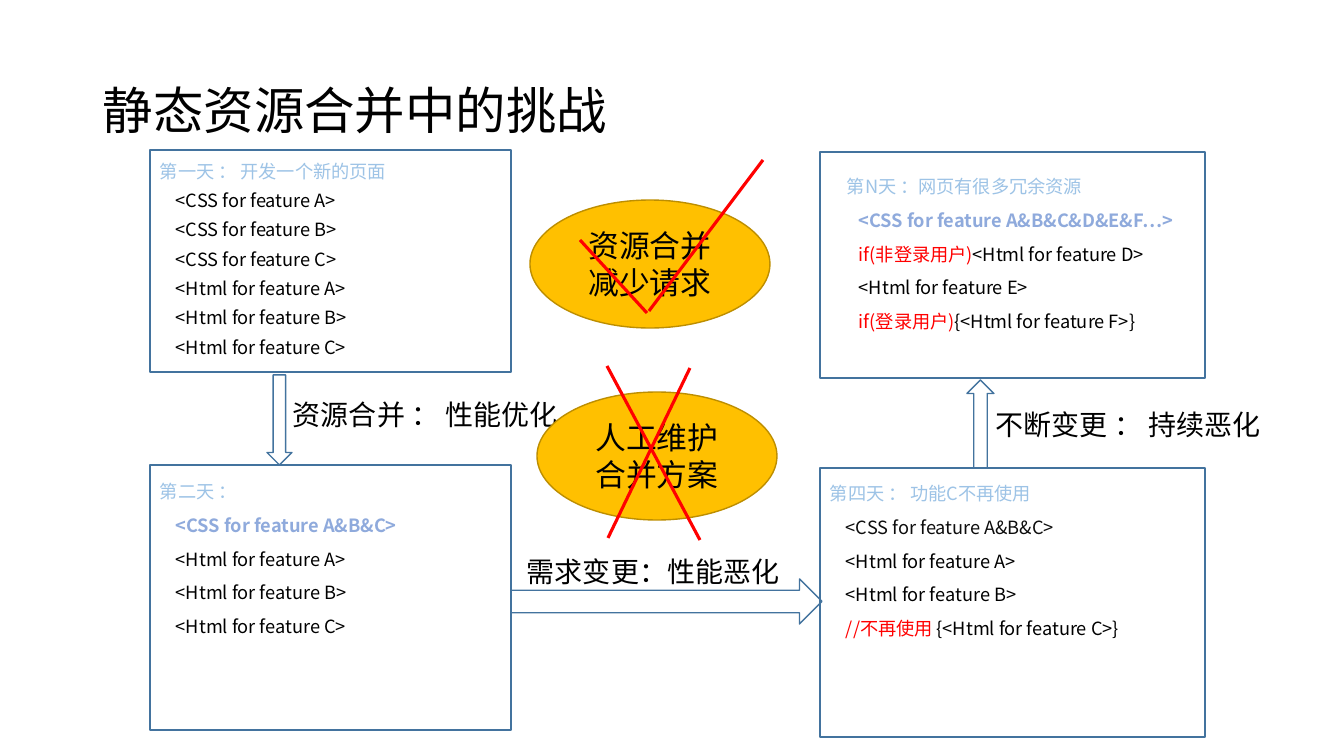
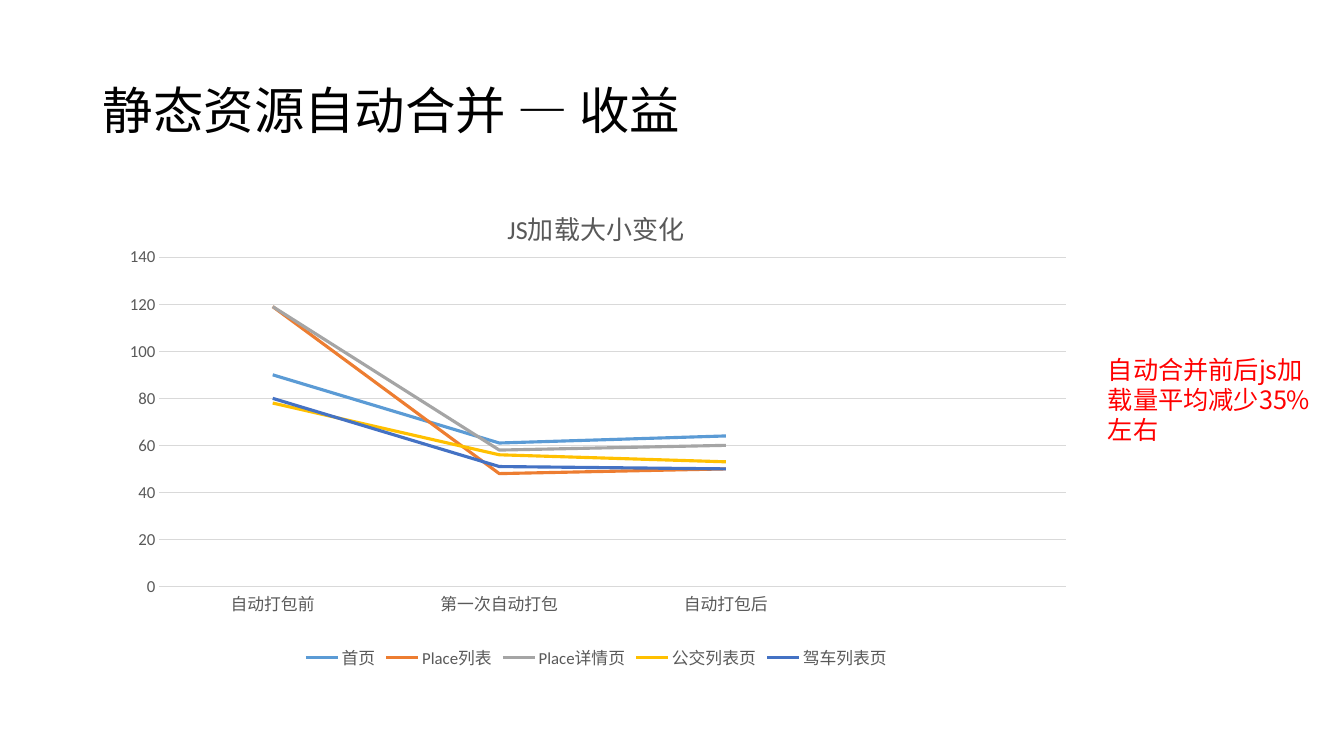
from lxml.etree import SubElement
from pptx import Presentation
from pptx.chart.data import CategoryChartData
from pptx.dml.color import RGBColor
from pptx.enum.chart import XL_CHART_TYPE, XL_LEGEND_POSITION, XL_MARKER_STYLE, XL_TICK_MARK
from pptx.enum.shapes import MSO_CONNECTOR, MSO_SHAPE
from pptx.enum.text import MSO_ANCHOR, PP_ALIGN
from pptx.oxml import parse_xml
from pptx.oxml.ns import nsdecls, qn
from pptx.util import Pt

COLORS = {
    "black": "000000", "code": "0D0D0D", "heading": "9DC3E6", "merged": "8FAADC",
    "red": "FF0000", "outline": "43739E", "amber": "FFC000", "amber_line": "BD8E00",
    "grey": "595959", "grid": "D9D9D9", "blue": "5B9BD5", "orange": "ED7D31",
    "silver": "A5A5A5", "navy": "4472C4",
}
FONT = "Noto Sans CJK SC"
CHART_FONT = "Calibri"
EMU_PER_PIXEL = 914400 / 100.8

TITLE_BOX = (93, 40, 1159, 146)
CHALLENGE_TITLE = "静态资源合并中的挑战"
BENEFIT_TITLE = "静态资源自动合并 — 收益"

DAYS = [
    {"frame": (150, 150, 361, 222), "text": (150, 161, 321, 215), "indent": 16, "spacing": 0.7,
     "heading": "第一天 ： 开发一个新的页面",
     "lines": [[("<CSS for feature A>", "black")], [("<CSS for feature B>", "black")],
               [("<CSS for feature C>", "black")], [("<Html for feature A>", "black")],
               [("<Html for feature B>", "black")], [("<Html for feature C>", "black")]]},
    {"frame": (150, 465, 361, 265), "text": (150, 478, 306, 229), "indent": 16, "spacing": 0.9,
     "heading": "第二天 ：",
     "lines": [[("<CSS for feature A&B&C>", "merged")], [("<Html for feature A>", "black")],
               [("<Html for feature B>", "black")], [("<Html for feature C>", "black")]]},
    {"frame": (820, 468, 385, 269), "text": (820, 480, 405, 253), "indent": 16, "spacing": 0.9,
     "heading": "第四天 ： 功能C不再使用",
     "lines": [[("<CSS for feature A&B&C>", "code")], [("<Html for feature A>", "black")],
               [("<Html for feature B>", "black")],
               [("//不再使用 ", "red"), ("{<Html for feature C>}", "black")]]},
    {"frame": (820, 152, 385, 226), "text": (837, 173, 415, 215), "indent": 12, "spacing": 0.9,
     "heading": "第N天 ：网页有很多冗余资源",
     "lines": [[("<CSS for feature A&B&C&D&E&F…>", "merged")],
               [("if(非登录用户)", "red"), ("<Html for feature D>", "black")],
               [("<Html for feature E>", "black")],
               [("if(登录用户)", "red"), ("{<Html for feature F>}", "black")]]},
]
STEPS = [
    (MSO_SHAPE.DOWN_ARROW, (267, 375, 25, 90), "资源合并 ： 性能优化", (283, 393, 296, 44)),
    (MSO_SHAPE.RIGHT_ARROW, (511, 579, 311, 45), "需求变更：性能恶化", (517, 550, 280, 44)),
    (MSO_SHAPE.UP_ARROW, (967, 380, 27, 88), "不断变更 ： 持续恶化", (986, 403, 312, 44)),
]
VERDICTS = [
    ("人工维护合并方案", (537, 392, 240, 128)),
    ("资源合并减少请求", (530, 200, 240, 128)),
]
CROSS_AND_TICK = [
    (607, 366, 700, 540), (690, 368, 608, 538),
    (580, 240, 647, 313), (649, 311, 763, 160),
]

CHART_BOX = (93, 186, 1007, 488)
CHART_TITLE = "JS加载大小变化"
PLOT_AREA = {"x": 0.066, "y": 0.146, "w": 0.9, "h": 0.675}
CATEGORIES = ["自动打包前", "第一次自动打包", "自动打包后", ""]
SERIES = [
    ("首页", (90, 61, 64, None), "blue"),
    ("Place列表", (119, 48, 50, None), "orange"),
    ("Place详情页", (119, 58, 60, None), "silver"),
    ("公交列表页", (78, 56, 53, None), "amber"),
    ("驾车列表页", (80, 51, 50, None), "navy"),
]
CONCLUSION = "自动合并前后js加载量平均减少35%左右"
CONCLUSION_BOX = (1098, 349, 225, 132)


def px(value):
    return round(value * EMU_PER_PIXEL)


def place(box):
    return [px(value) for value in box]


def rgb(name):
    return RGBColor.from_string(COLORS[name])


def set_font(font, size, color, name=FONT):
    font.size = Pt(size)
    font.name = name
    font.color.rgb = rgb(color)


def format_run(run, size, color, bold=False):
    set_font(run.font, size, color)
    run.font.bold = bold
    SubElement(run.font._element, qn("a:ea")).set("typeface", FONT)


def add_text(slide, text, box, size, color="black", anchor=MSO_ANCHOR.TOP):
    frame = slide.shapes.add_textbox(*place(box)).text_frame
    frame.word_wrap = True
    frame.vertical_anchor = anchor
    frame.text = text
    format_run(frame.paragraphs[0].runs[0], size, color)
    return frame


def add_title(slide, text):
    frame = add_text(slide, text, TITLE_BOX, 36, anchor=MSO_ANCHOR.MIDDLE)
    frame.paragraphs[0].line_spacing = 0.9


def add_outlined_shape(slide, kind, box, line="outline", fill=None):
    shape = slide.shapes.add_shape(kind, *place(box))
    shape.shadow.inherit = False
    if fill:
        shape.fill.solid()
        shape.fill.fore_color.rgb = rgb(fill)
    else:
        shape.fill.background()
    shape.line.color.rgb = rgb(line)
    shape.line.width = Pt(1)
    return shape


def add_day(slide, day):
    frame = add_text(slide, day["heading"], day["text"], 13, "heading")
    for line in day["lines"]:
        paragraph = frame.add_paragraph()
        properties = paragraph._p.get_or_add_pPr()
        properties.set("marL", str(px(day["indent"])))
        properties.set("indent", "0")
        for text, color in line:
            run = paragraph.add_run()
            run.text = text
            format_run(run, 13, color, bold=color == "merged")
    for paragraph in frame.paragraphs:
        paragraph.line_spacing = day["spacing"]
        paragraph.space_before = Pt(10)


def add_verdict(slide, text, box):
    shape = add_outlined_shape(slide, MSO_SHAPE.OVAL, box, "amber_line", "amber")
    frame = shape.text_frame
    frame.word_wrap = True
    frame.vertical_anchor = MSO_ANCHOR.MIDDLE
    frame.text = text
    frame.paragraphs[0].alignment = PP_ALIGN.CENTER
    format_run(frame.paragraphs[0].runs[0], 22, "black")


def add_stroke(slide, ends):
    connector = slide.shapes.add_connector(MSO_CONNECTOR.STRAIGHT, *place(ends))
    connector.line.color.rgb = rgb("red")
    connector.line.width = Pt(2.25)
    SubElement(connector._element.spPr, qn("a:effectLst"))


def set_plot_area(chart):
    values = "".join(f'<c:{key} val="{value}"/>' for key, value in PLOT_AREA.items())
    layout = parse_xml(
        f'<c:layout {nsdecls("c")}><c:manualLayout><c:layoutTarget val="inner"/>'
        f'<c:xMode val="edge"/><c:yMode val="edge"/>{values}</c:manualLayout></c:layout>')
    plot_area = chart._chartSpace.chart.plotArea
    for old_layout in plot_area.findall(qn("c:layout")):
        plot_area.remove(old_layout)
    plot_area.insert(0, layout)


def add_line_chart(slide):
    data = CategoryChartData()
    data.categories = CATEGORIES
    for name, values, _ in SERIES:
        data.add_series(name, values)
    chart = slide.shapes.add_chart(XL_CHART_TYPE.LINE, *place(CHART_BOX), data).chart
    set_font(chart.font, 10, "black", CHART_FONT)
    chart.has_title = True
    title_frame = chart.chart_title.text_frame
    title_frame.text = CHART_TITLE
    title_run = title_frame.paragraphs[0].runs[0]
    format_run(title_run, 18.6, "grey")
    title_run.font.name = CHART_FONT
    chart.chart_title.include_in_layout = False
    chart.has_legend = True
    chart.legend.position = XL_LEGEND_POSITION.BOTTOM
    chart.legend.include_in_layout = False
    set_font(chart.legend.font, 12, "grey", CHART_FONT)
    for axis in (chart.category_axis, chart.value_axis):
        axis.major_tick_mark = XL_TICK_MARK.NONE
        axis.minor_tick_mark = XL_TICK_MARK.NONE
        set_font(axis.tick_labels.font, 12, "grey", CHART_FONT)
    chart.value_axis.minimum_scale = 0
    chart.value_axis.maximum_scale = 140
    chart.value_axis.major_unit = 20
    chart.value_axis.format.line.fill.background()
    for line in (chart.category_axis.format.line, chart.value_axis.major_gridlines.format.line):
        line.color.rgb = rgb("grid")
        line.width = Pt(0.75)
    chart.plots[0].vary_by_categories = False
    for series, (_, _, color) in zip(chart.plots[0].series, SERIES):
        series.smooth = False
        series.marker.style = XL_MARKER_STYLE.NONE
        series.format.line.color.rgb = rgb(color)
        series.format.line.width = Pt(2.25)
    set_plot_area(chart)


def build_challenge(slide):
    for day in DAYS:
        add_day(slide, day)
        add_outlined_shape(slide, MSO_SHAPE.RECTANGLE, day["frame"])
    add_title(slide, CHALLENGE_TITLE)
    for arrow, arrow_box, label, label_box in STEPS:
        add_outlined_shape(slide, arrow, arrow_box)
        add_text(slide, label, label_box, 20)
    for text, box in VERDICTS:
        add_verdict(slide, text, box)
    for ends in CROSS_AND_TICK:
        add_stroke(slide, ends)


def build_benefit(slide):
    add_title(slide, BENEFIT_TITLE)
    add_line_chart(slide)
    add_text(slide, CONCLUSION, CONCLUSION_BOX, 18, "red")


presentation = Presentation()
presentation.slide_width = px(1344)
presentation.slide_height = px(756)
for build in (build_challenge, build_benefit):
    build(presentation.slides.add_slide(presentation.slide_layouts[6]))
presentation.save("out.pptx")
